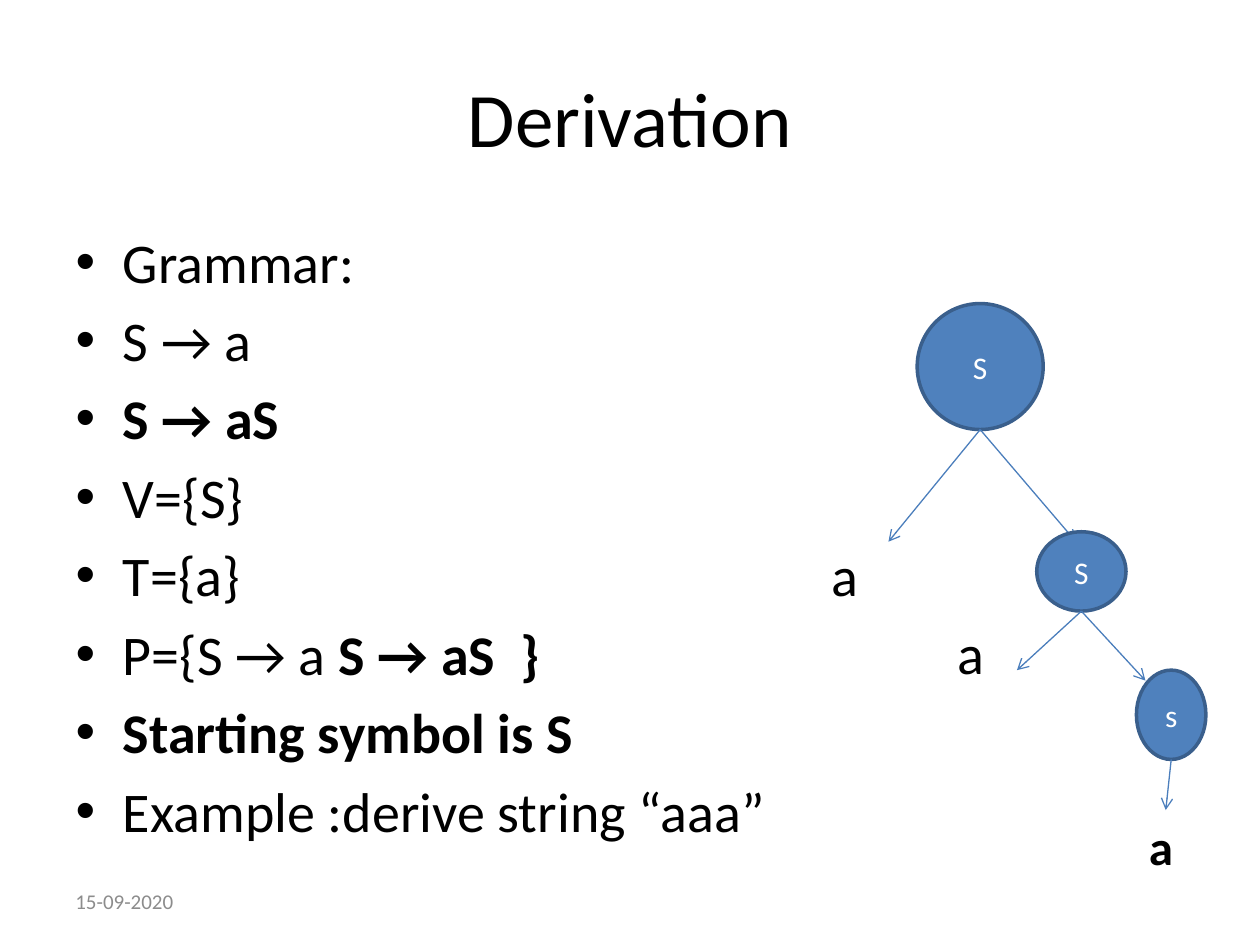
from dataclasses import dataclass

from lxml import etree
from pptx import Presentation
from pptx.dml.color import RGBColor
from pptx.enum.shapes import MSO_CONNECTOR, MSO_SHAPE
from pptx.enum.text import MSO_ANCHOR, MSO_AUTO_SIZE, PP_ALIGN
from pptx.oxml.ns import qn
from pptx.util import Cm, Pt


@dataclass(frozen=True)
class Theme:
    font: str = "Calibri"
    text: str = "000000"
    muted: str = "8C8C8C"
    node_fill: str = "4F81BD"
    node_line: str = "3A5F8C"
    node_text: str = "FFFFFF"
    arrow: str = "4B7EBC"
    title_size: int = 44
    body_size: int = 32
    last_leaf_size: int = 28
    node_size: int = 18
    date_size: int = 12


class SlideBuilder:
    """Draws styled elements on one slide; all lengths are in centimetres."""

    def __init__(self, slide, theme):
        self.slide = slide
        self.theme = theme

    def style(self, p, size, color, bold=None):
        p.font.name = self.theme.font
        p.font.size = Pt(size)
        p.font.color.rgb = RGBColor.from_string(color)
        p.font.bold = bold

    def place(self, sp, box):
        sp.left, sp.top, sp.width, sp.height = map(Cm, box)

    def title(self, text, box):
        sp = self.slide.shapes.title
        self.place(sp, box)
        sp.text_frame.text = text
        self.style(sp.text_frame.paragraphs[0], self.theme.title_size, self.theme.text)

    def bullets(self, items, box):
        """Each item is a list of (text, bold) runs."""
        sp = self.slide.placeholders[1]
        self.place(sp, box)
        tf = sp.text_frame
        tf.auto_size = MSO_AUTO_SIZE.NONE
        for i, runs in enumerate(items):
            p = tf.add_paragraph() if i else tf.paragraphs[0]
            self.style(p, self.theme.body_size, self.theme.text)
            for text, bold in runs:
                r = p.add_run()
                r.text = text
                r.font.bold = bold

    def text(self, text, box, size, color, bold=None, anchor=MSO_ANCHOR.TOP):
        tf = self.slide.shapes.add_textbox(*map(Cm, box)).text_frame
        tf.word_wrap = True
        tf.vertical_anchor = anchor
        tf.text = text
        self.style(tf.paragraphs[0], size, color, bold)

    def node(self, text, box):
        sp = self.slide.shapes.add_shape(MSO_SHAPE.OVAL, *map(Cm, box))
        sp.shadow.inherit = False
        sp.fill.solid()
        sp.fill.fore_color.rgb = RGBColor.from_string(self.theme.node_fill)
        sp.line.color.rgb = RGBColor.from_string(self.theme.node_line)
        sp.line.width = Pt(2)
        tf = sp.text_frame
        tf.text = text
        tf.vertical_anchor = MSO_ANCHOR.MIDDLE
        p = tf.paragraphs[0]
        p.alignment = PP_ALIGN.CENTER
        self.style(p, self.theme.node_size, self.theme.node_text)

    def arrow(self, start, end):
        cx = self.slide.shapes.add_connector(
            MSO_CONNECTOR.STRAIGHT, *map(Cm, (*start, *end)))
        cx.line.color.rgb = RGBColor.from_string(self.theme.arrow)
        cx.line.width = Pt(0.75)
        etree.SubElement(cx.line._get_or_add_ln(), qn("a:tailEnd"), type="arrow")
        etree.SubElement(cx._element.spPr, qn("a:effectLst"))

    def branch(self, text, box, ends):
        """A tree node with arrows from its bottom to each end point."""
        self.node(text, box)
        left, top, width, height = box
        for end in ends:
            self.arrow((left + width / 2, top + height), end)


GRAMMAR = [
    [("Grammar:", False)],
    [("S → a", False)],
    [("S → aS", True)],
    [("V={S}", False)],
    [("T={a}", False)],
    [("P={S → a ", False), ("S → aS  }", True)],
    [("Starting symbol is S", True)],
    [("Example :derive string “aaa”", False)],
]

TREE = [
    ("S", (18.49, 6.12, 2.54, 2.54), [(17.91, 10.92), (21.69, 10.92)]),
    ("S", (20.9, 10.72, 1.8, 1.6), [(20.5, 13.51), (23.09, 13.72)]),
    ("s", (22.91, 13.51, 1.4, 1.8), [(23.5, 16.33)]),
]

# Left, top, type size and weight of each leaf letter
LEAVES = [
    (16.51, 10.77, Theme.body_size, False),
    (19.05, 12.35, Theme.body_size, False),
    (22.91, 16.33, Theme.last_leaf_size, True),
]


def main():
    prs = Presentation()
    prs.slide_width, prs.slide_height = Cm(25.4), Cm(19.05)
    theme = Theme()
    s = SlideBuilder(prs.slides.add_slide(prs.slide_layouts[1]), theme)
    s.title("Derivation", (1.27, 0.76, 22.86, 3.18))
    s.bullets(GRAMMAR, (1.27, 4.45, 22.86, 12.57))
    s.text("15-09-2020", (1.27, 17.65, 5.92, 1.02), theme.date_size, theme.muted,
           anchor=MSO_ANCHOR.MIDDLE)
    for text, box, ends in TREE:
        s.branch(text, box, ends)
    for left, top, size, bold in LEAVES:
        s.text("a", (left, top, 1.4, 1.45), size, theme.text, bold)
    prs.save("out.pptx")


if __name__ == "__main__":
    main()
